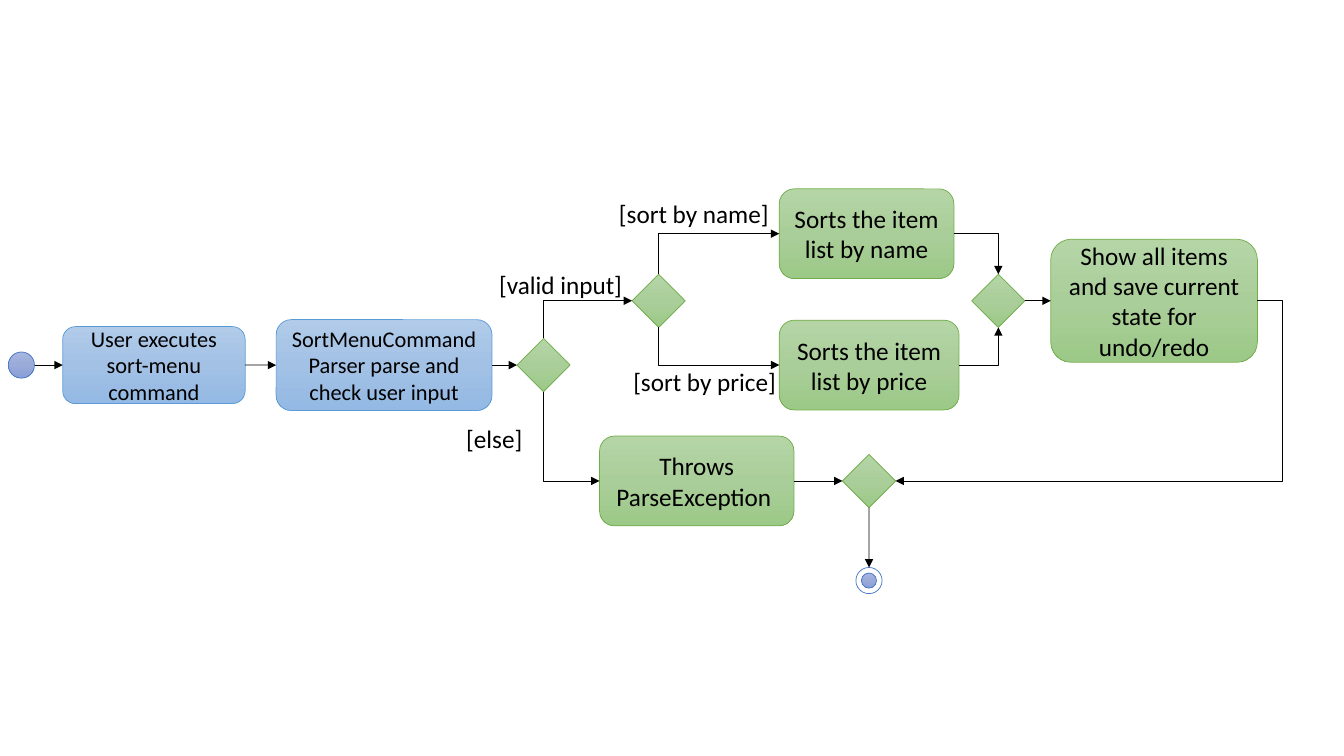
from copy import deepcopy

from pptx import Presentation
from pptx.dml.color import RGBColor
from pptx.enum.shapes import MSO_CONNECTOR, MSO_SHAPE
from pptx.enum.text import MSO_ANCHOR, MSO_AUTO_SIZE, PP_ALIGN
from pptx.oxml.ns import qn
from pptx.util import Cm, Pt
from lxml import etree

STRAIGHT, ELBOW = MSO_CONNECTOR.STRAIGHT, MSO_CONNECTOR.ELBOW
OVAL, DIAMOND, ROUND = MSO_SHAPE.OVAL, MSO_SHAPE.DIAMOND, MSO_SHAPE.ROUNDED_RECTANGLE
CENTER, MIDDLE = PP_ALIGN.CENTER, MSO_ANCHOR.MIDDLE
FIT_SHAPE = MSO_AUTO_SIZE.SHAPE_TO_FIT_TEXT

BLACK = RGBColor(0, 0, 0)
WHITE = RGBColor(255, 255, 255)
INDIGO_LINE = RGBColor(0x44, 0x72, 0xC4)
BLUE_LINE = RGBColor(0x5B, 0x9B, 0xD5)
GREEN_LINE = RGBColor(0x70, 0xAD, 0x47)
INDIGO = [RGBColor(0xA8, 0xB7, 0xDF), RGBColor(0x9A, 0xAB, 0xD9), RGBColor(0x88, 0x9E, 0xD7)]
BLUE = [RGBColor(0xB1, 0xCB, 0xE9), RGBColor(0xA3, 0xC1, 0xE5), RGBColor(0x93, 0xB9, 0xE4)]
GREEN = [RGBColor(0xB5, 0xD5, 0xA7), RGBColor(0xAA, 0xCE, 0x9A), RGBColor(0x9C, 0xC9, 0x87)]

FONT = "Calibri"
TOP, LEFT, BOTTOM, RIGHT = range(4)
NAME_ROW, VALID_ROW, MAIN_ROW, ELSE_ROW, END_ROW = 5.89, 7.58, 9.2, 12.12, 14.63
NODE, DOT, CORE = 1.34, 0.66, 0.38
END_X = 21.9

# key: left, middle, width, height, text, size, colours, line
ACTIONS = {
    "user": (1.58, MAIN_ROW, 4.6, 1.94, "User executes sort-menu command", 16, BLUE, BLUE_LINE),
    "parser": (6.96, MAIN_ROW, 5.44, 2.29, "SortMenuCommandParser parse and check user input",
               16, BLUE, BLUE_LINE),
    "name": (19.64, NAME_ROW, 4.4, 2.26, "Sorts the item list by name", 18, GREEN, GREEN_LINE),
    "price": (19.64, MAIN_ROW, 4.53, 2.26, "Sorts the item list by price", 18, GREEN, GREEN_LINE),
    "throws": (15.11, ELSE_ROW, 4.9, 2.26, "Throws ParseException ", 18, GREEN, GREEN_LINE),
    "show": (26.48, VALID_ROW, 5.21, 3.1, "Show all items and save current state for undo/redo",
             18, GREEN, GREEN_LINE),
}
DECISIONS = {
    "valid?": (13.7, MAIN_ROW),
    "sort?": (16.6, VALID_ROW),
    "sorted": (25.16, VALID_ROW),
    "done": (END_X, ELSE_ROW),
}
LABELS = [
    ("[else]", 11.5, 10.54, 2.36),
    ("[valid input]", 12.33, 6.67, 3.68),
    ("[sort by name]", 15.35, 4.87, 4.4),
    ("[sort by price]", 15.71, 9.1, 4.4),
]
STRAIGHT_FLOWS = [
    ("start", RIGHT, "user", LEFT),
    ("user", RIGHT, "parser", LEFT),
    ("parser", RIGHT, "valid?", LEFT),
    ("throws", RIGHT, "done", LEFT),
    ("sorted", RIGHT, "show", LEFT),
    ("done", BOTTOM, "end", TOP),
]
BENT_FLOWS = [
    ("valid?", TOP, "sort?", LEFT),
    ("valid?", BOTTOM, "throws", LEFT),
    ("sort?", TOP, "name", LEFT),
    ("sort?", BOTTOM, "price", LEFT),
    ("name", RIGHT, "sorted", TOP),
    ("price", RIGHT, "sorted", BOTTOM),
    ("show", RIGHT, "done", RIGHT),
]

prs = Presentation()
prs.slide_width, prs.slide_height = Cm(33.87), Cm(19.05)
s = prs.slides.add_slide(prs.slide_layouts[6])
nodes = {}


def add_node(shapes, kind, left, middle, w, h, colors, line):
    sp = shapes.add_shape(kind, Cm(left), Cm(middle - h / 2), Cm(w), Cm(h))
    sp.shadow.inherit = False
    sp.line.color.rgb = line
    sp.line.width = Pt(0.5)
    if len(colors) == 1:
        sp.fill.solid()
        sp.fill.fore_color.rgb = colors[0]
        return sp
    sp.fill.gradient()
    sp.fill.gradient_angle = 270
    stops = sp._element.spPr.find(".//" + qn("a:gsLst"))
    stops.append(deepcopy(stops[0]))
    for i, (stop, color) in enumerate(zip(sp.fill.gradient_stops, colors)):
        stop.color.rgb = color
        stop.position = i / 2
    return sp


def add_round(shapes, center, middle, d, colors):
    return add_node(shapes, OVAL, center - d / 2, middle, d, d, colors, INDIGO_LINE)


def write(tf, text, size, align=None):
    tf.word_wrap = True
    p = tf.paragraphs[0]
    p.alignment = align
    r = p.add_run()
    r.text = text
    r.font.name, r.font.size = FONT, Pt(size)
    r.font.color.rgb = BLACK


def add_flow(kind, source, source_side, target, target_side):
    c = s.shapes.add_connector(kind, 0, 0, 0, 0)
    c.begin_connect(nodes[source], source_side)
    c.end_connect(nodes[target], target_side)
    c.line.color.rgb = BLACK
    c.line.width = Pt(0.5)
    etree.SubElement(c.line._get_or_add_ln(), qn("a:tailEnd"), type="triangle")
    etree.SubElement(c._element.spPr, qn("a:effectLst"))
    return c


def bend(c, source_side, target_side):
    spPr = c._element.spPr
    geom, xfrm = spPr.find(qn("a:prstGeom")), spPr.find(qn("a:xfrm"))
    if source_side == target_side:
        etree.SubElement(geom.find(qn("a:avLst")), qn("a:gd"), name="adj1", fmla="val -7000")
        return
    geom.set("prst", "bentConnector2")
    if source_side in (TOP, BOTTOM):
        x, y, w, h = c.left, c.top, c.width, c.height
        c.left, c.top = x + (w - h) // 2, y + (h - w) // 2
        c.width, c.height = h, w
        up = source_side == TOP
        xfrm.set("rot", str((90 if up else 270) * 60000))
        xfrm.set("flipH", "1")
        xfrm.set("flipV", "1" if up else "0")


for key, (left, middle, w, h, text, size, colors, line) in ACTIONS.items():
    sp = nodes[key] = add_node(s.shapes, ROUND, left, middle, w, h, colors, line)
    sp.text_frame.vertical_anchor = MIDDLE
    write(sp.text_frame, text, size, CENTER)

for key, (center, middle) in DECISIONS.items():
    nodes[key] = add_node(s.shapes, DIAMOND, center - NODE / 2, middle, NODE, NODE, GREEN, GREEN_LINE)

nodes["start"] = add_round(s.shapes, 0.54, MAIN_ROW, DOT, INDIGO)
final = s.shapes.add_group_shape()
nodes["end"] = add_round(final.shapes, END_X, END_ROW, DOT, [WHITE])
add_round(final.shapes, END_X, END_ROW, CORE, INDIGO)

for flow in STRAIGHT_FLOWS:
    add_flow(STRAIGHT, *flow)
for flow in BENT_FLOWS:
    bend(add_flow(ELBOW, *flow), flow[1], flow[3])

for text, left, top, w in LABELS:
    tf = s.shapes.add_textbox(Cm(left), Cm(top), Cm(w), Cm(1.03)).text_frame
    tf.auto_size = FIT_SHAPE
    write(tf, text, 18)

prs.save("out.pptx")
